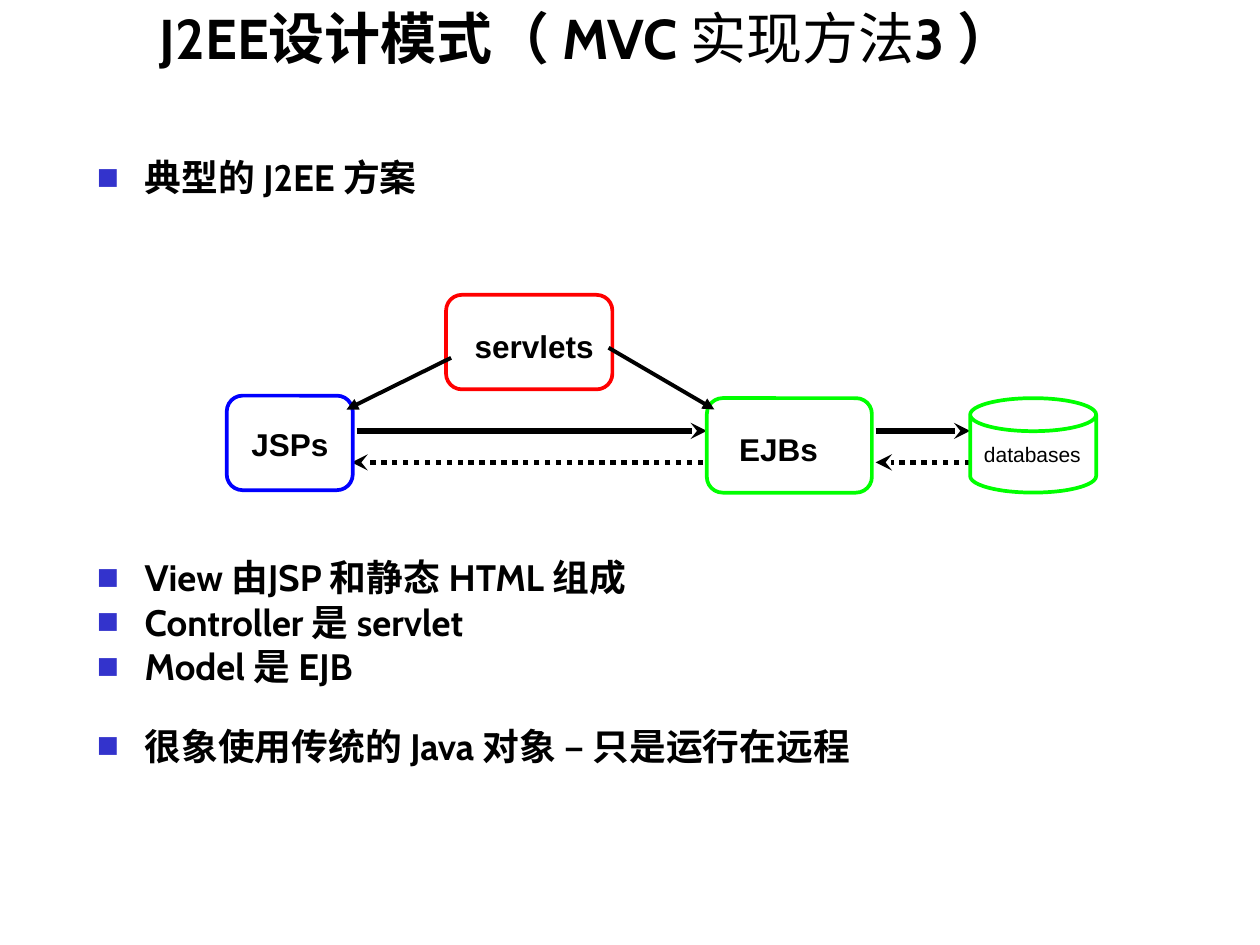
from lxml import etree
from pptx import Presentation
from pptx.dml.color import RGBColor
from pptx.enum.dml import MSO_LINE
from pptx.enum.shapes import MSO_CONNECTOR, MSO_SHAPE
from pptx.enum.text import MSO_ANCHOR
from pptx.oxml.ns import qn
from pptx.util import Inches, Pt

ROUND, CAN = MSO_SHAPE.ROUNDED_RECTANGLE, MSO_SHAPE.CAN
LINE, DOTS = MSO_CONNECTOR.STRAIGHT, MSO_LINE.ROUND_DOT
TOP, MID = MSO_ANCHOR.TOP, MSO_ANCHOR.MIDDLE
HEX = {"ink": "000000", "paper": "FFFFFF", "mark": "3333CC",
       "red": "FF0000", "green": "00FF00", "blue": "0000FF"}
LATIN, HAN, SANS = "Cabin", "Noto Sans CJK SC", "Arial"
COLS, ROWS = 100, 75  # grid cells are a tenth of an inch


def cell(n):
    return Inches(n / 10)


def tint(name):
    return RGBColor.from_string(HEX[name])


def style(para, size, face, bold):
    font = para.font
    font.size, font.name, font.bold = Pt(size), face, bold
    font.color.rgb = tint("ink")
    if face == LATIN:
        base = para._p.pPr.find(qn("a:defRPr"))
        etree.SubElement(base, qn("a:ea"), typeface=HAN)


def bullet(para):
    props = para._p.get_or_add_pPr()
    props.set("marL", str(cell(3.8)))
    props.set("indent", str(-cell(3.8)))
    shade = etree.SubElement(props, qn("a:buClr"))
    etree.SubElement(shade, qn("a:srgbClr"), val=HEX["mark"])
    etree.SubElement(props, qn("a:buFont"), typeface=SANS)
    etree.SubElement(props, qn("a:buChar"), char="■")


def frame(slide, box):
    text = slide.shapes.add_textbox(*map(cell, box)).text_frame
    text.word_wrap = True
    return text


def title(slide, box):
    text = frame(slide, box)
    text.vertical_anchor = MID
    para = text.paragraphs[0]
    style(para, 32, LATIN, True)
    for words, bold in (("J2EE设计模式（ MVC ", True), ("实现方法", False), ("3 ）", True)):
        run = para.add_run()
        run.text = words
        run.font.bold = bold


def body(slide, box):
    text = frame(slide, box)
    # Space before each point; the large one leaves room for the diagram
    points = [(0, ["典型的 J2EE 方案"]),
              (208.4, ["View 由JSP 和静态 HTML 组成"]),
              (5.2, ["Controller 是 servlet"]),
              (5.2, ["Model 是 EJB"]),
              (25.4, ["很象使用传统的 Java 对象 ", "– ", "只是运行在远程"])]
    for i, (gap, parts) in enumerate(points):
        para = text.add_paragraph() if i else text.paragraphs[0]
        para.line_spacing, para.space_before = 0.8, Pt(gap)
        bullet(para)
        style(para, 21, LATIN, True)
        for words in parts:
            run = para.add_run()
            run.text = words
            if words == "– ":
                run.font.name = HAN


def node(slide, kind, box, hue, label, size, inset):
    shape = slide.shapes.add_shape(kind, *map(cell, box))
    shape.shadow.inherit = False
    shape.line.color.rgb, shape.line.width = tint(hue), Pt(2.13)
    if kind == CAN:
        shape.adjustments[0] = 0.35
        shape.fill.background()
    else:
        shape.fill.solid()
        shape.fill.fore_color.rgb = tint("paper")
    text = shape.text_frame
    text.word_wrap, text.vertical_anchor = True, TOP
    text.margin_left, text.margin_top = map(cell, inset)
    text.margin_right = text.margin_bottom = 0
    para = text.paragraphs[0]
    para.alignment = 1
    style(para, size, SANS, kind == ROUND)
    para.add_run().text = label


def arrow(slide, ends, width, head, dash=None):
    link = slide.shapes.add_connector(LINE, *map(cell, ends))
    link.line.color.rgb, link.line.width = tint("ink"), Pt(width)
    if dash:
        link.line.dash_style = dash
    props = link._element.spPr
    etree.SubElement(props.find(qn("a:ln")), qn("a:tailEnd"), type=head)
    etree.SubElement(props, qn("a:effectLst"))


def flow(slide, box):
    left, top = box[:2]

    def ends(x1, y1, x2, y2):
        return left + x1, top + y1, left + x2, top + y2

    # Calls run along the upper row, replies along the lower one
    for x1, x2, y, dash in ((10.3, 38.1, 10.8, None), (51.5, 59, 10.8, None),
                            (59, 51.5, 13.3, DOTS), (37.8, 9.9, 13.3, DOTS)):
        arrow(slide, ends(x1, y, x2, y), 3.12, "stealth", dash)
    # Parts of the system
    for kind, x, y, wide, hue, label, size, inset in (
            (CAN, 59, 8.2, 10, "green", "databases", 12, (1.1, 0.8)),
            (ROUND, 0, 8, 10, "blue", "JSPs", 18, (1.6, 2)),
            (ROUND, 17.4, 0, 13.2, "red", "servlets", 18, (1.9, 2.2)),
            (ROUND, 38.1, 8.2, 13.1, "green", "EJBs", 18, (2.2, 2.2))):
        node(slide, kind, (left + x, top + y, wide, 7.5), hue, label, size, inset)
    # The servlets steer both sides
    for span in ((30.3, 4.2, 38.7, 9.1), (17.8, 5, 9.5, 9.1)):
        arrow(slide, ends(*span), 2.25, "triangle")


def main():
    deck = Presentation()
    deck.slide_width, deck.slide_height = cell(COLS), cell(ROWS)
    slide = deck.slides.add_slide(deck.slide_layouts[6])
    body(slide, (6.7, 12.5, 90.8, 53.2))
    title(slide, (11.7, -3.3, 85, 12.5))
    flow(slide, (18, 23.4, 69, 15.7))
    deck.save("out.pptx")


if __name__ == "__main__":
    main()
